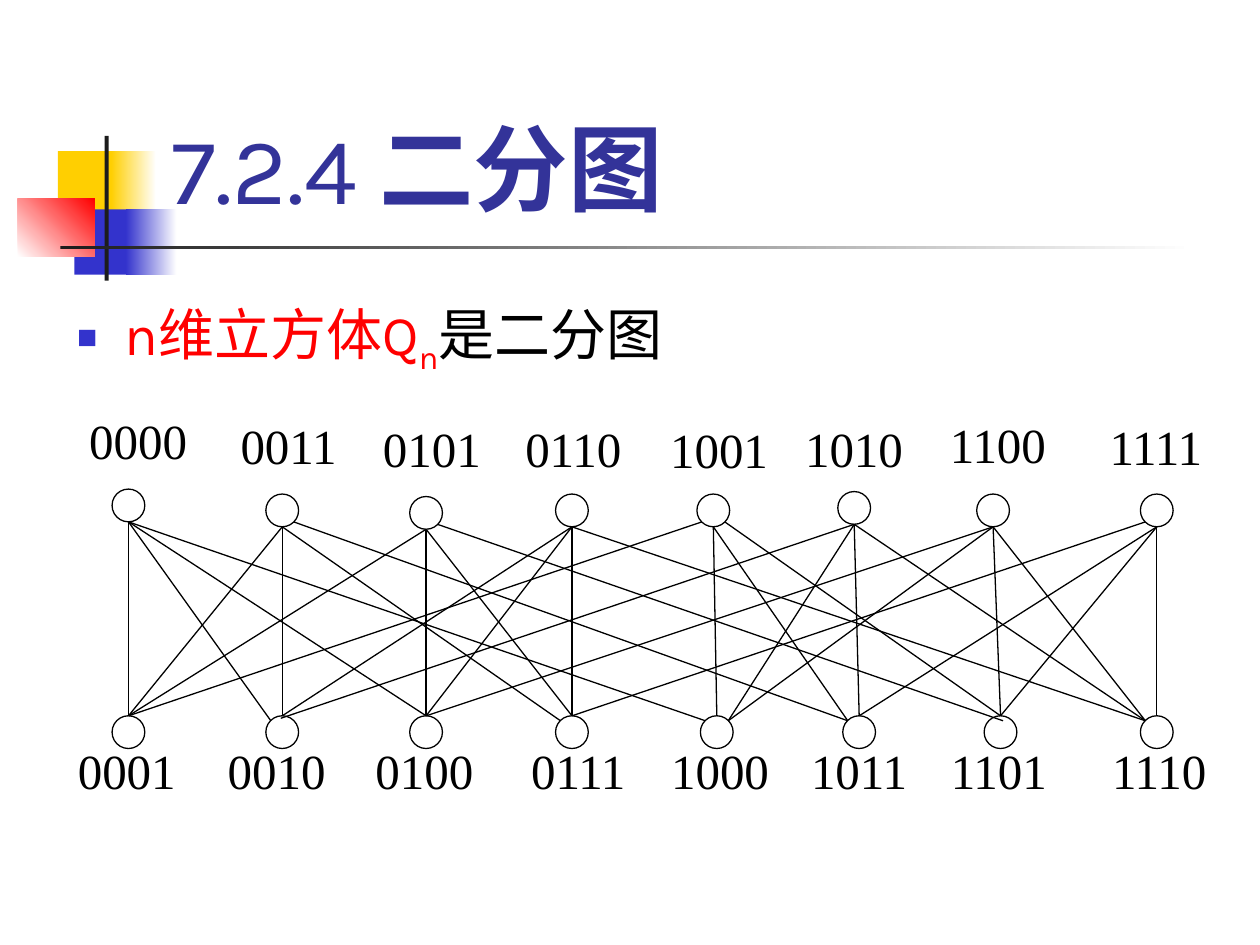
"""Build the slide on bipartite graphs with the four-dimensional cube Q4."""
from lxml import etree
from pptx import Presentation
from pptx.dml.color import RGBColor
from pptx.enum.shapes import MSO_CONNECTOR, MSO_SHAPE
from pptx.enum.text import MSO_ANCHOR, MSO_AUTO_SIZE, PP_ALIGN
from pptx.oxml.ns import qn
from pptx.util import Cm, Pt

RECTANGLE, OVAL = MSO_SHAPE.RECTANGLE, MSO_SHAPE.OVAL
STRAIGHT = MSO_CONNECTOR.STRAIGHT
TOP, BOTTOM, LEFT = MSO_ANCHOR.TOP, MSO_ANCHOR.BOTTOM, PP_ALIGN.LEFT
NO_AUTOFIT = MSO_AUTO_SIZE.NONE

COLOURS = {
    "yellow": "FFCF01", "blue": "3333CC", "red": "FF0000", "ink": "1C1C1C",
    "title": "333399", "white": "FFFFFF", "black": "000000",
}
HEADING_FONT, LABEL_FONT = "Karla", "Times New Roman"
DIAMETER = 0.66
LOWER_TOP, LOWER_LABEL_TOP = 14.43, 14.81

# code: (centre x, node top, label left, label top)
UPPER = {
    "0000": (2.59, 9.86, 1.55, 8.15),
    "0011": (5.69, 9.96, 4.6, 8.26),
    "0101": (8.59, 10.01, 7.47, 8.31),
    "0110": (11.53, 9.96, 10.34, 8.31),
    "1001": (14.38, 9.96, 13.26, 8.33),
    "1010": (17.22, 9.91, 15.98, 8.31),
    "1100": (20.02, 9.96, 18.9, 8.23),
    "1111": (23.32, 9.96, 22.12, 8.28),
}
LOWER = {
    code: (centre, LOWER_TOP, label_left, LOWER_LABEL_TOP)
    for code, centre, label_left in (
        ("0001", 2.59, 1.32), ("0010", 5.69, 4.34), ("0100", 8.59, 7.32),
        ("0111", 11.53, 10.46), ("1000", 14.45, 13.28), ("1011", 17.32, 16.1),
        ("1101", 20.17, 18.92), ("1110", 23.32, 22.17),
    )
}
TO_LEFT, TO_RIGHT = (-0.23, 0.1), (0.23, 0.1)
START_SHIFTS = {
    ("0011", "1011"): (0.23, -0.1), ("0101", "1101"): (0.23, -0.1),
    ("1001", "1101"): (0.23, -0.1), ("1001", "0001"): (-0.23, -0.1),
    ("1111", "0111"): (-0.23, -0.1),
}
END_SHIFTS = {
    ("0000", "0010"): TO_LEFT, ("0000", "1000"): TO_LEFT,
    ("0011", "0111"): TO_LEFT, ("0011", "1011"): TO_LEFT,
    ("0110", "1110"): TO_LEFT, ("1001", "1011"): TO_LEFT,
    ("1010", "1110"): TO_LEFT, ("1100", "1110"): TO_LEFT,
    ("1010", "1000"): TO_RIGHT, ("1100", "1000"): TO_RIGHT,
    ("0101", "1101"): (0.05, 0.1), ("1010", "0010"): (-0.03, 0.05),
}


def rgb(name):
    """Return the named colour."""
    return RGBColor.from_string(COLOURS[name])


def add_run(paragraph, text, size, font, colour):
    """Append a formatted run and return it."""
    run = paragraph.add_run()
    run.text = text
    run.font.size = Pt(size)
    run.font.name = font
    run.font.color.rgb = rgb(colour)
    return run


def add_block(shapes, kind, box, fill, line=None):
    """Add a filled preset shape with an optional thin outline."""
    block = shapes.add_shape(kind, *map(Cm, box))
    block.shadow.inherit = False
    block.fill.solid()
    block.fill.fore_color.rgb = rgb(fill)
    if line:
        block.line.color.rgb = rgb(line)
        block.line.width = Pt(0.75)
    else:
        block.line.fill.background()
    return block


def add_fade(shapes, box, start, end, angle=0):
    """Add a rectangle that fades from one colour to another."""
    fill = add_block(shapes, RECTANGLE, box, start).fill
    fill.gradient()
    fill.gradient_angle = angle
    for stop, colour, position in zip(fill.gradient_stops, (start, end), (0, 1)):
        stop.color.rgb = rgb(colour)
        stop.position = position


def add_ornament(shapes):
    """Add the coloured squares and the crossing rules."""
    add_block(shapes, RECTANGLE, (1.17, 3.05, 1.22, 1.32), "yellow")
    add_fade(shapes, (2.24, 3.05, 0.91, 1.32), "yellow", "white")
    add_block(shapes, RECTANGLE, (1.5, 4.22, 1.17, 1.32), "blue")
    add_fade(shapes, (2.54, 4.22, 1.02, 1.32), "blue", "white")
    add_fade(shapes, (0.36, 4.01, 1.55, 1.17), "white", "red", 45)
    add_block(shapes, RECTANGLE, (2.11, 2.74, 0.08, 2.92), "ink")
    add_fade(shapes, (1.22, 4.95, 22.86, 0.08), "ink", "white")


def place_text(slide, placeholder, box, anchor):
    """Move a placeholder in front and return its first paragraph."""
    placeholder.left, placeholder.top, placeholder.width, placeholder.height = map(Cm, box)
    slide.shapes._spTree.append(placeholder._element)
    frame = placeholder.text_frame
    frame.auto_size = NO_AUTOFIT
    frame.vertical_anchor = anchor
    paragraph = frame.paragraphs[0]
    paragraph.alignment = LEFT
    return paragraph


def add_bullet(paragraph):
    """Give a paragraph a hanging square bullet."""
    properties = paragraph._p.get_or_add_pPr()
    properties.set("marL", str(Cm(0.95)))
    properties.set("indent", str(-Cm(0.95)))
    colour = etree.SubElement(properties, qn("a:buClr"))
    etree.SubElement(colour, qn("a:srgbClr"), val=COLOURS["blue"])
    etree.SubElement(properties, qn("a:buSzPct"), val="60000")
    etree.SubElement(properties, qn("a:buChar"), char="■")


def add_label(shapes, code, left, top):
    """Add the code of a vertex."""
    label = add_block(shapes, RECTANGLE, (left, top, 2.62, 1.93), "white", "white")
    label.text_frame.vertical_anchor = TOP
    paragraph = label.text_frame.paragraphs[0]
    paragraph.alignment = LEFT
    add_run(paragraph, code, 28, LABEL_FONT, "black")


def add_edge(shapes, start, end):
    """Add a thin line between two points."""
    edge = shapes.add_connector(STRAIGHT, *map(Cm, start + end))
    edge.line.color.rgb = rgb("black")
    edge.line.width = Pt(0.75)
    etree.SubElement(edge._element.spPr, qn("a:effectLst"))


def add_cube(shapes):
    """Draw Q4, joining codes that differ in exactly one bit."""
    vertices = {**UPPER, **LOWER}
    for code, (_, _, left, top) in vertices.items():
        add_label(shapes, code, left, top)
    for centre, top, _, _ in vertices.values():
        add_block(shapes, OVAL, (centre - DIAMETER / 2, top, DIAMETER, DIAMETER),
                  "white", "black")
    for upper, (x1, top, _, _) in UPPER.items():
        for lower, (x2, y2, _, _) in LOWER.items():
            if sum(a != b for a, b in zip(upper, lower)) == 1:
                dx1, dy1 = START_SHIFTS.get((upper, lower), (0, 0))
                dx2, dy2 = END_SHIFTS.get((upper, lower), (0, 0))
                add_edge(shapes, (x1 + dx1, top + DIAMETER + dy1), (x2 + dx2, y2 + dy2))


def main():
    """Build and save the slide."""
    deck = Presentation()
    deck.slide_width, deck.slide_height = Cm(25.4), Cm(19.05)
    slide = deck.slides.add_slide(deck.slide_layouts[1])
    add_ornament(slide.shapes)

    heading = place_text(slide, slide.shapes.title, (3.2, 0.58, 21.64, 4.06), BOTTOM)
    add_run(heading, "7.2.4 ", 54, HEADING_FONT, "title")
    add_run(heading, "二分图", 54, HEADING_FONT, "title").font.bold = True

    claim = place_text(slide, slide.placeholders[1], (1.3, 5.13, 24.1, 13.92), TOP)
    add_bullet(claim)
    claim.line_spacing = 1.5
    claim.space_before = Pt(0)
    add_run(claim, "n维立方体Q", 32, HEADING_FONT, "red")
    subscript = add_run(claim, "n", 32, HEADING_FONT, "red")
    subscript.font._element.set("baseline", "-25000")
    add_run(claim, "是二分图", 32, HEADING_FONT, "black")

    add_cube(slide.shapes.add_group_shape().shapes)
    deck.save("out.pptx")


if __name__ == "__main__":
    main()
